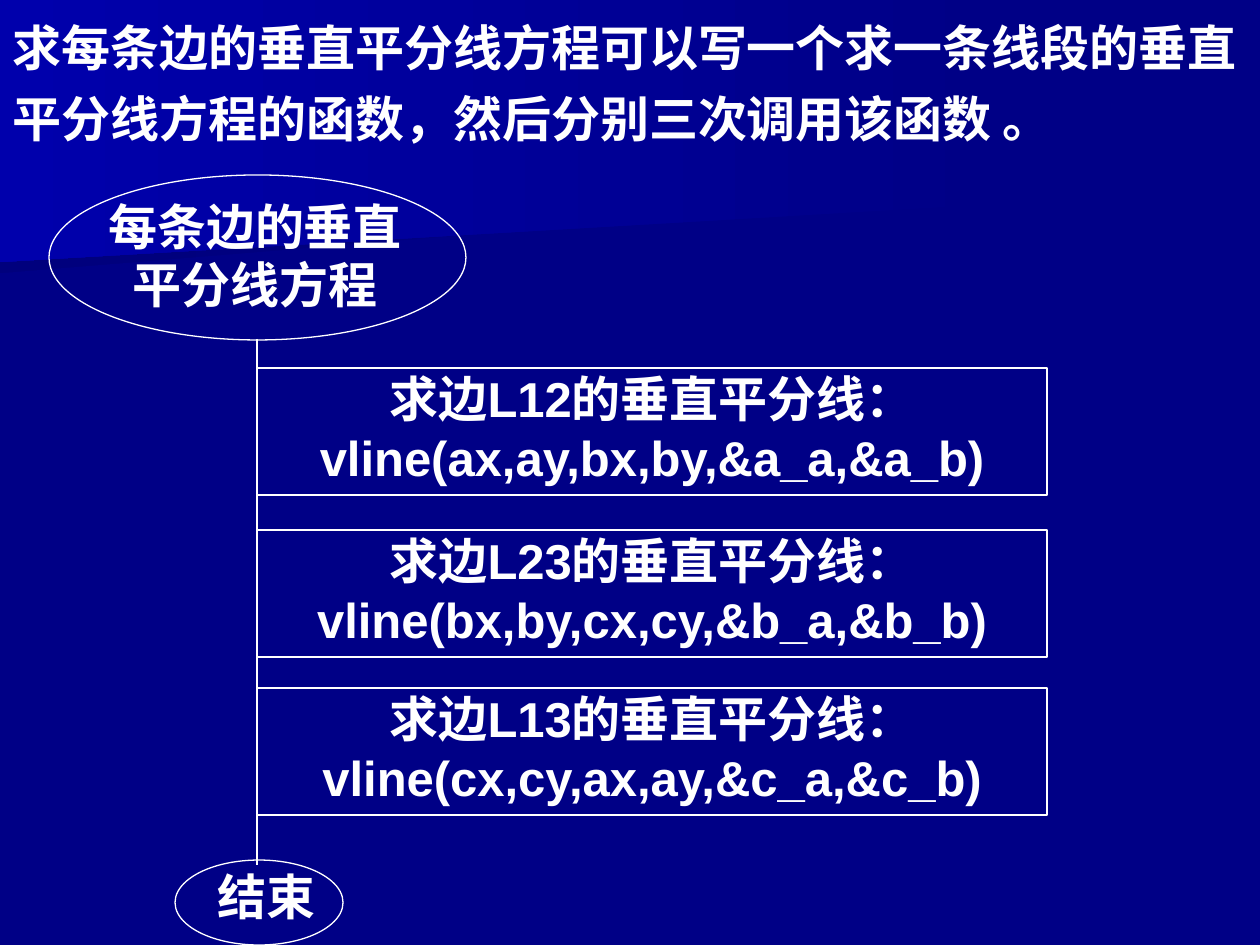
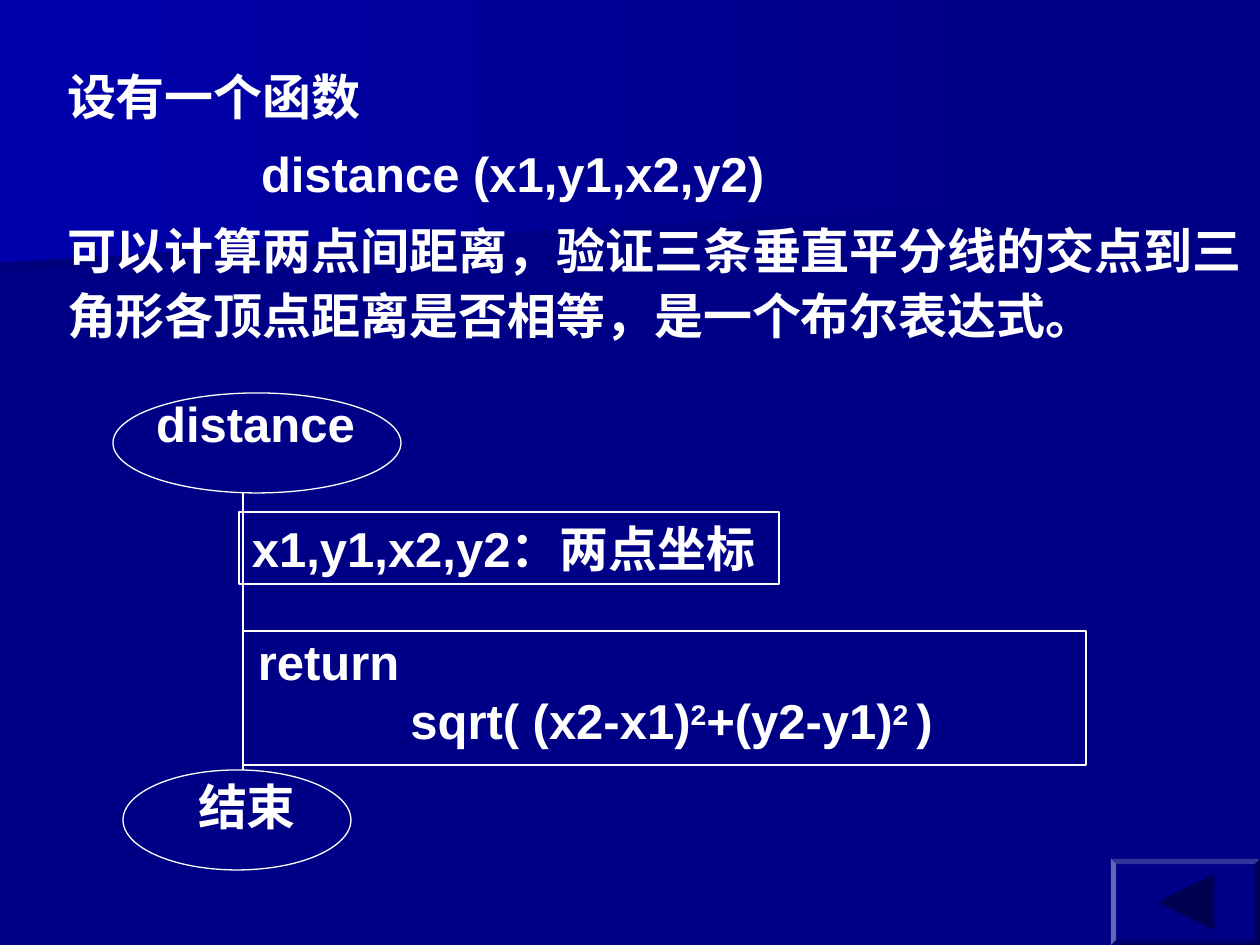
"""Build two flowchart slides about perpendicular bisectors and distances."""
from lxml.etree import SubElement
from pptx import Presentation
from pptx.dml.color import RGBColor
from pptx.enum.shapes import MSO_CONNECTOR, MSO_SHAPE
from pptx.enum.text import MSO_ANCHOR, MSO_AUTO_SIZE, PP_ALIGN
from pptx.oxml.ns import qn
from pptx.util import Pt

PIXEL = 914400 / 126
NAVY = RGBColor(0x00, 0x00, 0x86)
DEEP_NAVY = RGBColor(0x00, 0x00, 0x7D)
BRIGHT_BLUE = RGBColor(0x00, 0x00, 0xAC)
ARROW_BLUE = RGBColor(0x00, 0x00, 0x50)
WHITE = RGBColor(0xFF, 0xFF, 0xFF)
TITLE_ONLY, TITLE_AND_CONTENT = 5, 1


def px(*lengths):
    return [round(length * PIXEL) for length in lengths]


class FlowDeck:
    """Hold the deck style and draw on the current page."""

    def __init__(self):
        self.deck = Presentation()
        self.deck.slide_width, self.deck.slide_height = px(1260, 945)
        background = self.deck.slide_master.background.fill
        background.solid()
        background.fore_color.rgb = NAVY
        self.page = None

    def add_page(self, layout):
        self.page = self.deck.slides.add_slide(self.deck.slide_layouts[layout])

    def polygon(self, points):
        builder = self.page.shapes.build_freeform(*points[0], scale=PIXEL)
        builder.add_line_segments(points[1:], close=True)
        shape = builder.convert_to_shape()
        shape.shadow.inherit = False
        shape.line.fill.background()
        return shape

    def master_bands(self):
        bands = [
            ([(980, 193), (0, 273), (0, 127), (982, 127), (980, 161)], DEEP_NAVY),
            ([(998, 204), (0, 262), (0, 0), (998, 0)], BRIGHT_BLUE),
        ]
        tree = self.deck.slide_master.shapes.element
        for index, (points, left_color) in enumerate(bands):
            band = self.polygon(points)
            band.fill.gradient()
            band.fill.gradient_angle = 180
            for stop, color in zip(band.fill.gradient_stops, (NAVY, left_color)):
                stop.color.rgb = color
            band.element.nvSpPr.cNvPr.set("id", str(100 + index))
            tree.insert(2 + index, band.element)

    def set_lines(self, shape, lines, align=PP_ALIGN.CENTER, margins=(1, 1), font="Arial",
                  wrap=True, spacing=None, gap=0, indents=()):
        frame = shape.text_frame
        frame.text = "\n".join(lines)
        frame.word_wrap = wrap
        frame.auto_size = MSO_AUTO_SIZE.NONE
        frame.vertical_anchor = MSO_ANCHOR.TOP
        frame.margin_left = frame.margin_right = px(margins[0])[0]
        frame.margin_top = frame.margin_bottom = px(margins[1])[0]
        for index, para in enumerate(frame.paragraphs):
            properties = para._p.get_or_add_pPr()
            indent = indents[index] if indents else 0
            properties.set("marL", str(px(indent)[0]))
            properties.set("indent", "0")
            SubElement(properties, qn("a:buNone"))
            para.alignment = align
            para.line_spacing = spacing
            para.space_before = Pt(gap if index else 0)
            para.space_after = Pt(gap)
            for span in para.runs:
                self.style(span, font)
        return frame

    def style(self, span, font="Arial"):
        span.font.name = font
        span.font.size = Pt(28)
        span.font.bold = True
        span.font.color.rgb = WHITE

    def passage(self, holder, bounds, lines, **options):
        holder.left, holder.top, holder.width, holder.height = px(*bounds)
        self.set_lines(holder, lines, PP_ALIGN.LEFT, (13, 6), **options)

    def outline(self, kind, bounds):
        shape = self.page.shapes.add_shape(kind, *px(*bounds))
        shape.shadow.inherit = False
        shape.fill.background()
        shape.line.color.rgb = WHITE
        shape.line.width = Pt(0.75)
        return shape

    def step(self, bounds, lines, **options):
        return self.set_lines(self.outline(MSO_SHAPE.RECTANGLE, bounds), lines, **options)

    def terminal(self, bounds, label_bounds, lines):
        label = self.page.shapes.add_textbox(*px(*label_bounds))
        self.set_lines(label, lines)
        self.outline(MSO_SHAPE.OVAL, bounds)

    def stem(self, x, top, bottom):
        line = self.page.shapes.add_connector(
            MSO_CONNECTOR.STRAIGHT, *px(x, top, x, bottom))
        line.line.color.rgb = WHITE
        line.line.width = Pt(1)
        SubElement(line.element.spPr, qn("a:effectLst"))

    def back_button(self):
        button = self.page.shapes.add_shape(MSO_SHAPE.BEVEL, *px(1111, 859, 149, 86))
        button.adjustments[0] = 0.06
        button.shadow.inherit = False
        button.fill.solid()
        button.fill.fore_color.rgb = NAVY
        button.line.fill.background()
        arrow = self.polygon([(1158, 902), (1214, 874), (1214, 930)])
        arrow.fill.solid()
        arrow.fill.fore_color.rgb = ARROW_BLUE


def bisector_page(flow):
    flow.passage(
        flow.page.shapes.title, (0, 0, 1260, 154),
        ["求每条边的垂直平分线方程可以写一个求一条线段的垂直平分线方程的函数，然后分别三次调用该函数 。"],
        font="Roboto", spacing=1.2, gap=3.5)
    flow.terminal((49, 175, 417, 165), (69, 195, 372, 130), ["每条边的垂直", "平分线方程"])
    flow.stem(257, 339, 865)
    flow.terminal((175, 860, 168, 85), (175, 866, 183, 79), ["结束"])
    edges = [
        (368, "L12", "ax,ay,bx,by,&a_a,&a_b"),
        (530, "L23", "bx,by,cx,cy,&b_a,&b_b"),
        (688, "L13", "cx,cy,ax,ay,&c_a,&c_b"),
    ]
    for top, edge, arguments in edges:
        flow.step((257, top, 790, 127), [f"求边{edge}的垂直平分线：", f"vline({arguments})"])


def distance_page(flow):
    title, body = flow.page.placeholders
    title.element.getparent().remove(title.element)
    flow.passage(
        body, (54, 55, 1206, 296),
        ["设有一个函数", "distance (x1,y1,x2,y2)",
         "可以计算两点间距离，验证三条垂直平分线的交点到三角形各顶点距离是否相等，是一个布尔表达式。"],
        spacing=1.1, gap=3.5, indents=(0, 194, 0))
    flow.terminal((113, 393, 288, 100), (117, 393, 277, 96), ["distance"])
    flow.stem(243, 493, 770)
    flow.terminal((123, 770, 228, 100), (123, 776, 248, 93), ["结束"])
    frame = flow.step((243, 631, 843, 134), ["return", "sqrt( (x2-x1)"], indents=(14, 14))
    result, formula = frame.paragraphs
    result.alignment = PP_ALIGN.JUSTIFY
    for text, raised in (("2", True), ("+(y2-y1)", False), ("2 ", True), (")", False)):
        span = formula.add_run()
        span.text = text
        flow.style(span)
        if raised:
            span._r.get_or_add_rPr().set("baseline", "30000")
    flow.step((239, 512, 540, 72), ["x1,y1,x2,y2：两点坐标"],
              align=PP_ALIGN.LEFT, margins=(13, 6), wrap=False)
    flow.back_button()


def main():
    flow = FlowDeck()
    flow.add_page(TITLE_ONLY)
    flow.master_bands()
    bisector_page(flow)
    flow.add_page(TITLE_AND_CONTENT)
    distance_page(flow)
    flow.deck.save("out.pptx")


if __name__ == "__main__":
    main()
